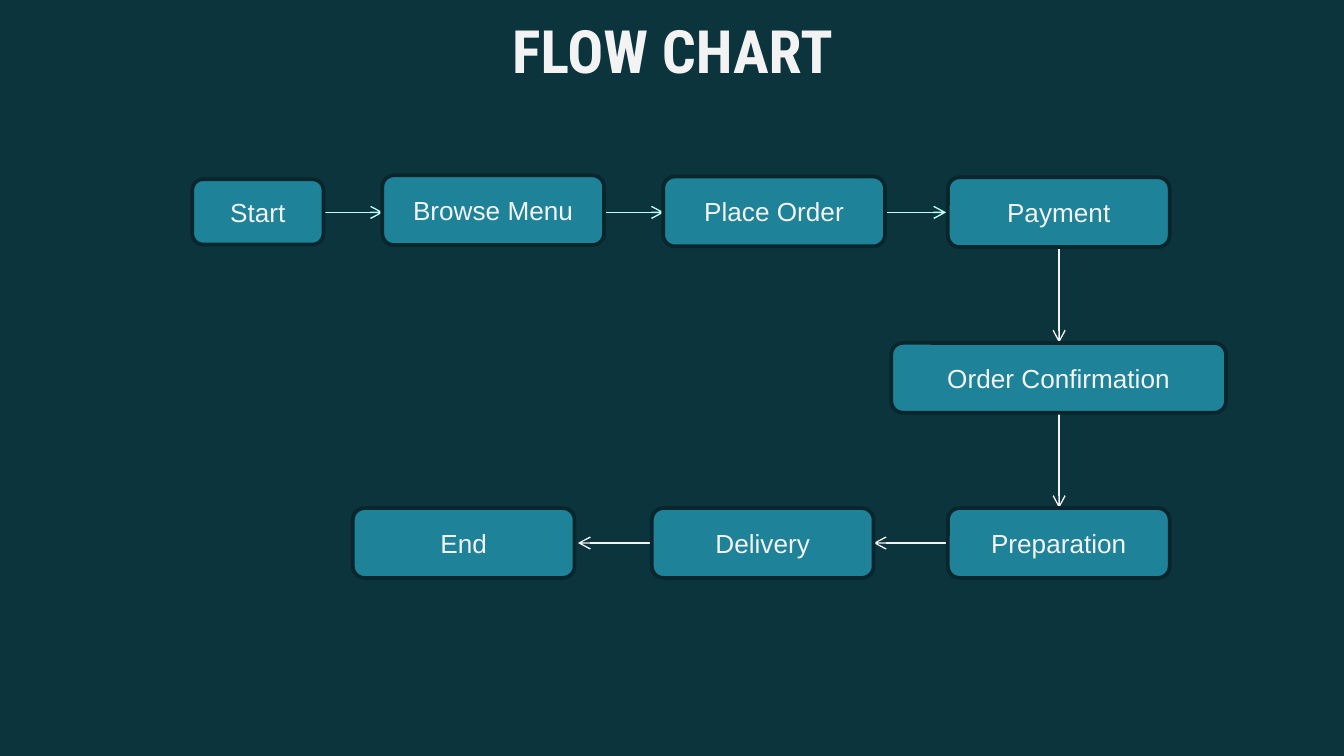
"""Build a slide with the flow chart of an online food order."""
from lxml.etree import SubElement
from pptx import Presentation
from pptx.dml.color import RGBColor
from pptx.enum.shapes import MSO_CONNECTOR as CONNECTOR, MSO_SHAPE as SHAPE
from pptx.enum.text import MSO_ANCHOR as ANCHOR, PP_ALIGN as ALIGN
from pptx.oxml.ns import qn
from pptx.util import Pt


def color(value):
    return RGBColor.from_string(value)


def write(shape, text, font_name, size, anchor, bold=False):
    frame = shape.text_frame
    frame.word_wrap = True
    frame.vertical_anchor = anchor
    paragraph = frame.paragraphs[0]
    paragraph.text = text
    paragraph.alignment = ALIGN.CENTER
    paragraph.font.name = font_name
    paragraph.font.size = Pt(size)
    paragraph.font.bold = bold
    paragraph.font.color.rgb = color(WHITE)


WHITE, MINT = "F3F3F3", "C0FFF9"
BOX_WIDTH, BOX_HEIGHT = 118.8, 37.4
TOP_ARROW_Y, BOTTOM_ARROW_Y, COLUMN_X = 113.8, 290.9, 567.4
BOTTOM_ROW = 272.2

presentation = Presentation()
presentation.slide_width = Pt(720)
presentation.slide_height = Pt(405)
slide = presentation.slides.add_slide(presentation.slide_layouts[6])
slide.background.fill.solid()
slide.background.fill.fore_color.rgb = color("0C343D")

title = slide.shapes.add_textbox(Pt(56.9), Pt(0), Pt(607), Pt(45.4))
title.text_frame.margin_top = title.text_frame.margin_bottom = Pt(7.2)
write(title, "FLOW CHART", "Roboto Condensed", 32, ANCHOR.TOP, bold=True)

arrows = [
    (172.8, TOP_ARROW_Y, 205.2, TOP_ARROW_Y, MINT),
    (324, TOP_ARROW_Y, 355.7, TOP_ARROW_Y, MINT),
    (474.5, TOP_ARROW_Y, 506.9, TOP_ARROW_Y, MINT),
    (COLUMN_X, 132.5, COLUMN_X, 183.6, WHITE),
    (COLUMN_X, 221, COLUMN_X, BOTTOM_ROW, WHITE),
    (507.6, BOTTOM_ARROW_Y, 468, BOTTOM_ARROW_Y, WHITE),
    (349.2, BOTTOM_ARROW_Y, 309.6, BOTTOM_ARROW_Y, WHITE),
]
for start_x, start_y, end_x, end_y, line_color in arrows:
    arrow = slide.shapes.add_connector(
        CONNECTOR.STRAIGHT, Pt(start_x), Pt(start_y), Pt(end_x), Pt(end_y))
    arrow.line.color.rgb = color(line_color)
    arrow.line.width = Pt(0.75)
    SubElement(arrow.line._get_or_add_ln(), qn("a:tailEnd"), type="arrow")
    SubElement(arrow._element.spPr, qn("a:effectLst"))

steps = [
    ("Start", 103, 96, 70.3, 35),
    ("Browse Menu", 204.8, 93.9, BOX_WIDTH, BOX_HEIGHT),
    ("Place Order", 355.3, 94.6, BOX_WIDTH, BOX_HEIGHT),
    ("Payment", 507.8, 95, BOX_WIDTH, BOX_HEIGHT),
    ("Order Confirmation", 477.5, 183.7, 179.3, BOX_HEIGHT),
    ("Preparation", 507.8, BOTTOM_ROW, BOX_WIDTH, BOX_HEIGHT),
    ("Delivery", 349.2, BOTTOM_ROW, BOX_WIDTH, BOX_HEIGHT),
    ("End", 189, BOTTOM_ROW, BOX_WIDTH, BOX_HEIGHT),
]
for label, left, top, width, height in steps:
    box = slide.shapes.add_shape(
        SHAPE.ROUNDED_RECTANGLE, Pt(left), Pt(top), Pt(width), Pt(height))
    box.shadow.inherit = False
    box.fill.solid()
    box.fill.fore_color.rgb = color("1E8298")
    box.line.color.rgb = color("09262D")
    box.line.width = Pt(2)
    write(box, label, "Arial", 14, ANCHOR.MIDDLE)

presentation.save("out.pptx")
